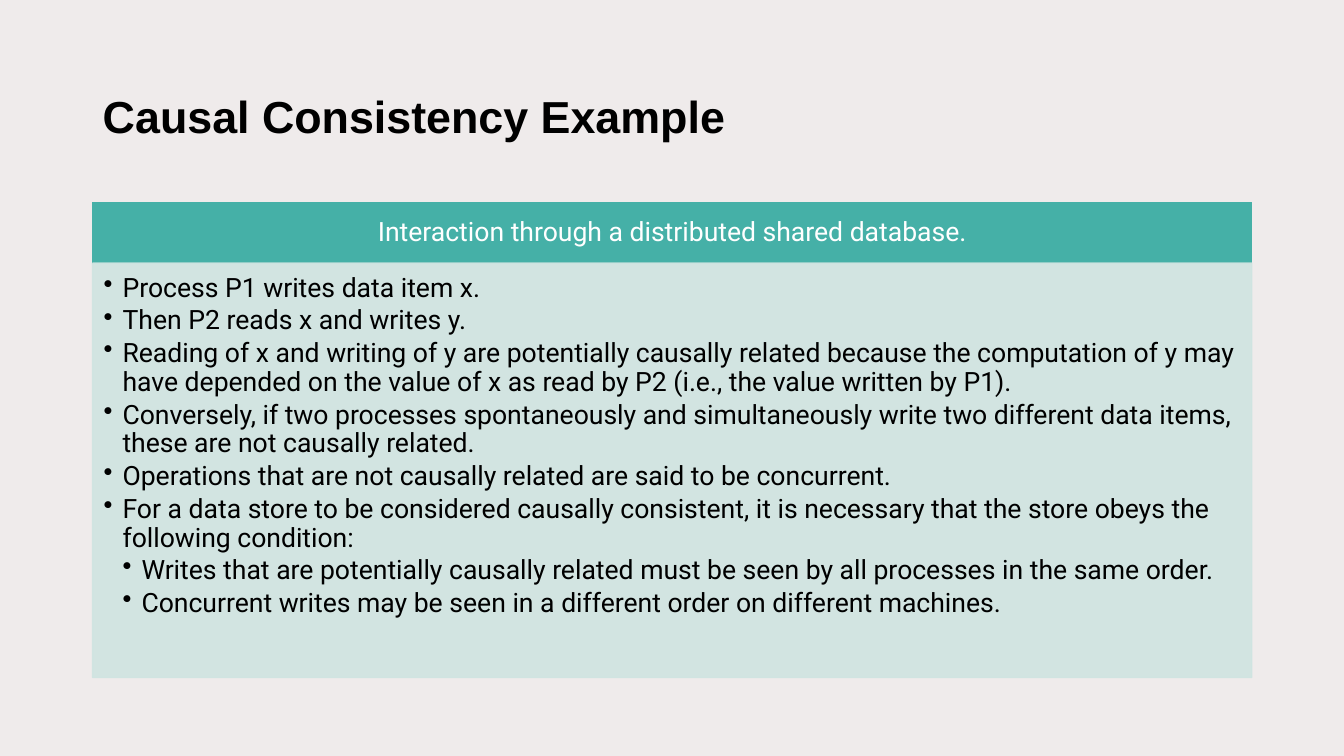
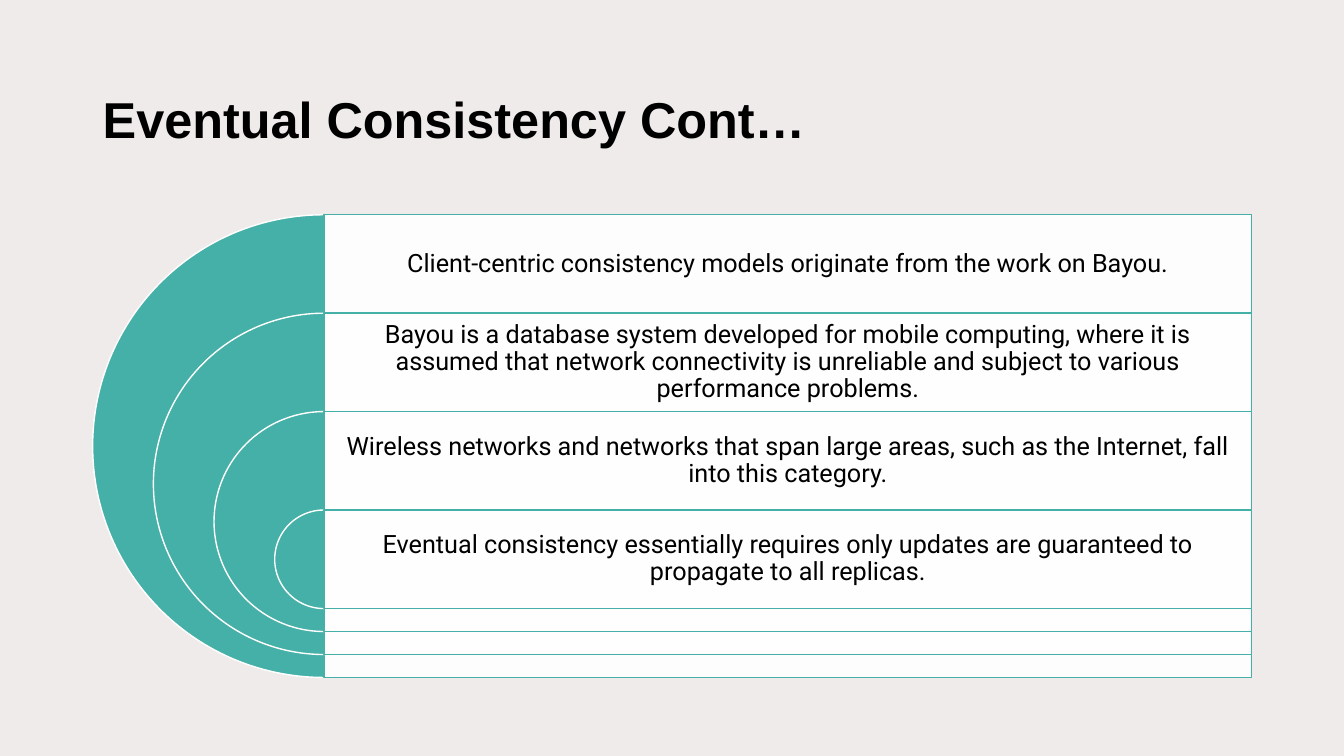
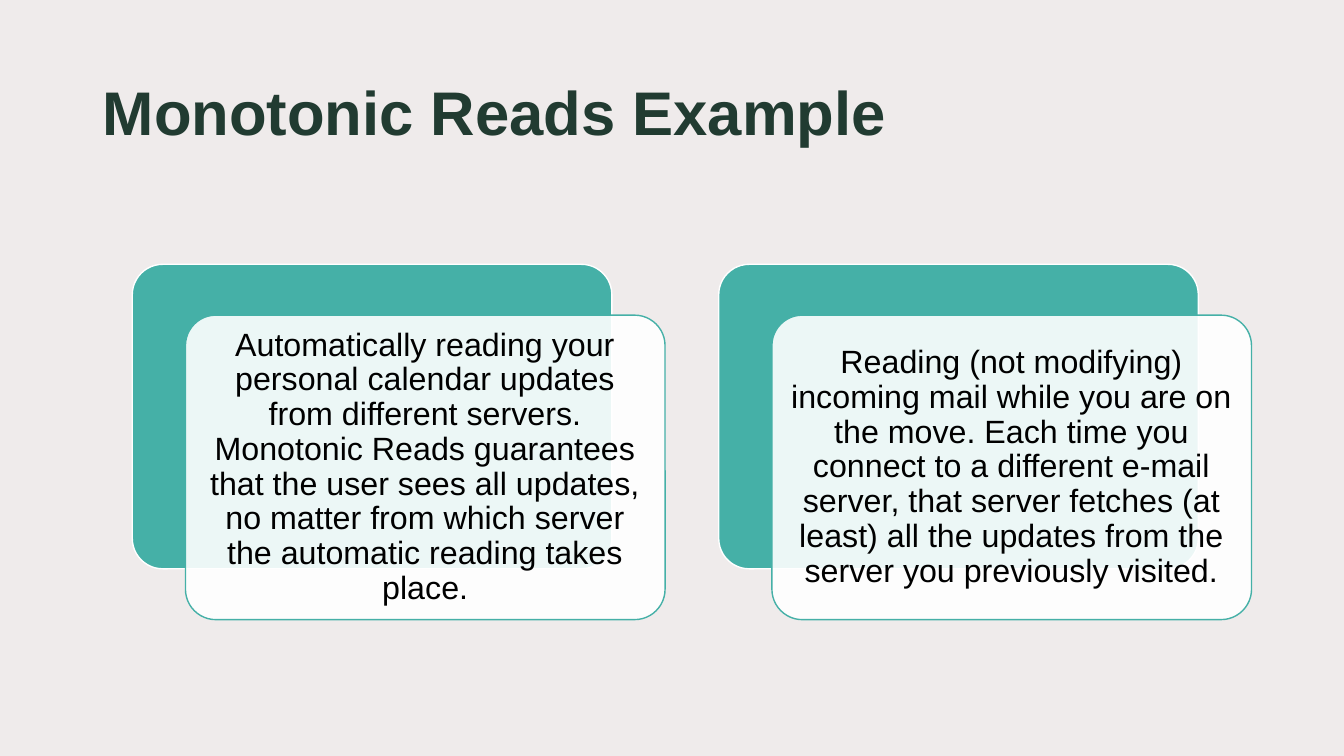
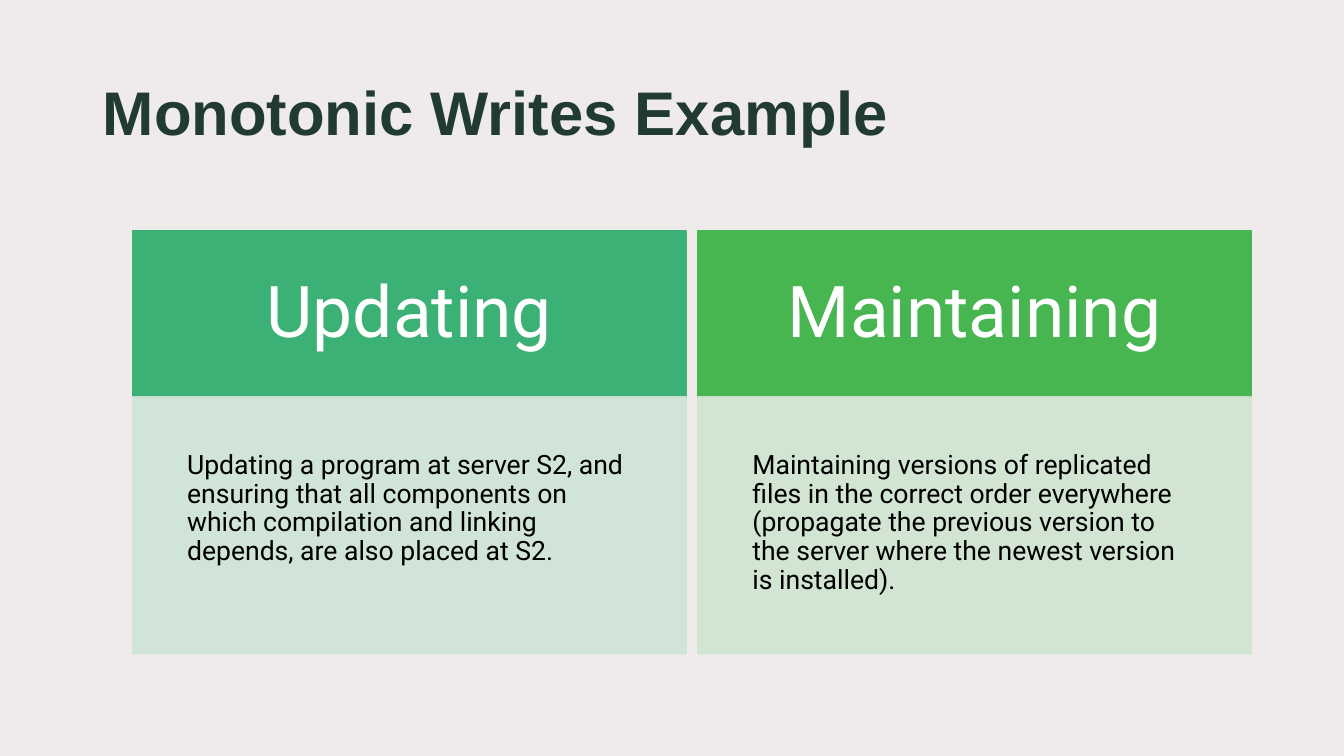
from dataclasses import dataclass
from typing import Any, NamedTuple

from lxml import etree
from pptx import Presentation
from pptx import util as u
from pptx.dml.color import RGBColor
from pptx.enum import shapes, text
from pptx.oxml import ns

Pt = u.Pt
RECT = shapes.MSO_SHAPE.RECTANGLE
ROUND = shapes.MSO_SHAPE.ROUNDED_RECTANGLE
PIE = shapes.MSO_SHAPE.PIE
TOP, MIDDLE = text.MSO_ANCHOR.TOP, text.MSO_ANCHOR.MIDDLE
LEFT, CENTER = text.PP_ALIGN.LEFT, text.PP_ALIGN.CENTER

COLORS = {
    "background": "EFEBEB",
    "black": "000000",
    "white": "FFFFFF",
    "forest": "213B31",
    "teal": "45B0A7",
    "teal_tint": "CFE4E1",
    "jade": "3BB176",
    "jade_tint": "CEE4D6",
    "green": "47B550",
    "green_tint": "CFE5D0",
}
MARGIN = 66.2
RIGHT = 894.2
INDENT = 13.5
TINT_ALPHA = 90


class Area(NamedTuple):
    left: float
    top: float
    width: float
    height: float


class Insets(NamedTuple):
    left: float
    top: float
    right: float
    bottom: float


@dataclass(frozen=True)
class Look:
    fill: str
    line: str
    fill_alpha: int = 100
    line_alpha: int = 100


@dataclass(frozen=True)
class TextStyle:
    size: float
    color: str = "black"
    font: str = "Roboto"
    bold: bool = False
    align: Any = CENTER
    anchor: Any = MIDDLE
    spacing: float = 0.9
    after: float = 0


@dataclass(frozen=True)
class Line:
    words: str
    level: int = 0


@dataclass(frozen=True)
class Column:
    heading: str
    body: str
    color: str


BLACK_TITLE = TextStyle(32, font="Arial", bold=True, align=LEFT)
LARGE_TITLE = TextStyle(36, font="Arial", bold=True, align=LEFT)
GREEN_TITLE = TextStyle(44, "forest", "Arial", True, LEFT, TOP, 1.0)
TITLE_INSETS = Insets(7.2, 3.6, 7.2, 3.6)
GREEN_TITLE_INSETS = Insets(7.2, 8.5, 7.2, 3.6)
GREEN_TITLE_AREA = Area(MARGIN, 44, 815, 101)
WHITE_PANEL = Look("white", "teal", TINT_ALPHA)
TEAL_PANEL = Look("teal", "white")


def assign(target: Any, values: dict[str, Any]) -> None:
    for name, value in values.items():
        setattr(target, name, value)


def rgb(name: str) -> RGBColor:
    return RGBColor.from_string(COLORS[name])


def paint(fill: Any, color: str, alpha: int) -> None:
    fill.solid()
    fill.fore_color.rgb = rgb(color)
    if alpha < 100:
        node = fill._xPr.find(ns.qn("a:solidFill"))[0]
        etree.SubElement(node, ns.qn("a:alpha")).set("val", str(alpha * 1000))


def add_bullet(para: Any, level: int) -> None:
    para.level = level
    props = para._p.get_or_add_pPr()
    props.set("marL", str(Pt(INDENT * level)))
    props.set("indent", str(-Pt(INDENT)))
    etree.SubElement(props, ns.qn("a:buChar")).set("char", "•")


def write(box: Any, lines: list[Line], style: TextStyle, insets: Insets) -> None:
    frame = box.text_frame
    assign(frame, {
        "word_wrap": True,
        "auto_size": text.MSO_AUTO_SIZE.NONE,
        "vertical_anchor": style.anchor,
        "margin_left": Pt(insets.left),
        "margin_top": Pt(insets.top),
        "margin_right": Pt(insets.right),
        "margin_bottom": Pt(insets.bottom),
    })
    for index, line in enumerate(lines):
        para = frame.add_paragraph() if index else frame.paragraphs[0]
        assign(para, {
            "alignment": style.align,
            "line_spacing": style.spacing,
            "space_before": Pt(0),
            "space_after": Pt(style.after),
        })
        if line.level:
            add_bullet(para, line.level)
        span = para.add_run()
        span.text = line.words
        assign(span.font, {"name": style.font, "size": Pt(style.size), "bold": style.bold})
        span.font.color.rgb = rgb(style.color)


def add_panel(page: Any, kind: Any, area: Area, look: Look,
              adjustments: tuple[float, ...] = ()) -> Any:
    box = page.shapes.add_shape(kind, *map(Pt, area))
    box.shadow.inherit = False
    for index, value in enumerate(adjustments):
        box.adjustments[index] = value
    paint(box.fill, look.fill, look.fill_alpha)
    box.line.width = Pt(1)
    paint(box.line.fill, look.line, look.line_alpha)
    return box


def add_page(deck: Any, title: str, style: TextStyle, area: Area,
             insets: Insets = TITLE_INSETS) -> Any:
    page = deck.slides.add_slide(deck.slide_layouts.get_by_name("Title Only"))
    box = page.shapes.title
    assign(box, dict(zip(Area._fields, map(Pt, area))))
    write(box, [Line(title)], style, insets)
    return page


def add_headed_block(page: Any, area: Area, header_height: float, color: str,
                     heading: str, lines: list[Line], styles: tuple[TextStyle, TextStyle],
                     insets: tuple[Insets, Insets]) -> None:
    tint = f"{color}_tint"
    header = area._replace(height=header_height)
    body = area._replace(top=area.top + header_height, height=area.height - header_height)
    box = add_panel(page, RECT, header, Look(color, color))
    write(box, [Line(heading)], styles[0], insets[0])
    box = add_panel(page, RECT, body, Look(tint, tint, TINT_ALPHA, TINT_ALPHA))
    write(box, lines, styles[1], insets[1])


def build_causal(deck: Any) -> None:
    page = add_page(deck, "Causal Consistency Example", BLACK_TITLE,
                    Area(MARGIN, 44, 793.5, 81.4))
    lines = [
        Line("Process P1 writes data item x.", 1),
        Line("Then P2 reads x and writes y.", 1),
        Line("Reading of x and writing of y are potentially causally related because the "
             "computation of y may have depended on the value of x as read by P2 "
             "(i.e., the value written by P1).", 1),
        Line("Conversely, if two processes spontaneously and simultaneously write two "
             "different data items, these are not causally related.", 1),
        Line("Operations that are not causally related are said to be concurrent.", 1),
        Line("For a data store to be considered causally consistent, it is necessary that "
             "the store obeys the following condition:", 1),
        Line("Writes that are potentially causally related must be seen by all processes "
             "in the same order.", 2),
        Line("Concurrent writes may be seen in a different order on different machines.", 2),
    ]
    add_headed_block(
        page, Area(MARGIN, 144.5, RIGHT - MARGIN, 339.5), 43.5, "teal",
        "Interaction through a distributed shared database.", lines,
        (TextStyle(19, "white"), TextStyle(19, align=LEFT, anchor=TOP, after=2.85)),
        (Insets(10.8, 5.8, 10.8, 5.8), Insets(7.9, 7.9, 10.8, 12.2)),
    )


def build_eventual(deck: Any) -> None:
    page = add_page(deck, "Eventual Consistency Cont…", LARGE_TITLE,
                    Area(MARGIN, 44, RIGHT - MARGIN, 87))
    statements = [
        "Client-centric consistency models originate from the work on Bayou.",
        "Bayou is a database system developed for mobile computing, where it is assumed that "
        "network connectivity is unreliable and subject to various performance problems.",
        "Wireless networks and networks that span large areas, such as the Internet, fall into "
        "this category.",
        "Eventual consistency essentially requires only updates are guaranteed to propagate "
        "to all replicas.",
    ]
    top, diameter, band, shrink, inset = 153.4, 330.5, 70.3, 86.7, 5
    center = MARGIN + diameter / 2
    for index, statement in enumerate(statements):
        size = diameter - shrink * index
        ring = Area(center - size / 2, top + band * index, size, size)
        add_panel(page, PIE, ring, TEAL_PANEL, (54, 162))
        row = ring._replace(left=center, width=RIGHT - center)
        box = add_panel(page, RECT, row, WHITE_PANEL)
        write(box, [Line(statement)], TextStyle(18),
              Insets(inset, inset, inset, max(size - band, 0) + inset))


def build_reads(deck: Any) -> None:
    page = add_page(deck, "Monotonic Reads Example", GREEN_TITLE, GREEN_TITLE_AREA,
                    GREEN_TITLE_INSETS)
    examples = [
        "Automatically reading your personal calendar updates from different servers. "
        "Monotonic Reads guarantees that the user sees all updates, no matter from which "
        "server the automatic reading takes place.",
        "Reading (not modifying) incoming mail while you are on the move. Each time you "
        "connect to a different e-mail server, that server fetches (at least) all the updates "
        "from the server you previously visited.",
    ]
    for index, example in enumerate(examples):
        back = Area(94.5 + 418.9 * index, 188.8, 342.6, 217.5)
        front = back._replace(left=back.left + 38, top=back.top + 36.3)
        add_panel(page, ROUND, back, TEAL_PANEL, (0.1,))
        box = add_panel(page, ROUND, front, WHITE_PANEL, (0.1,))
        write(box, [Line(example)], TextStyle(23, font="Arial"), Insets(7, 7, 7, 7))


def build_writes(deck: Any) -> None:
    page = add_page(deck, "Monotonic Writes Example", GREEN_TITLE, GREEN_TITLE_AREA,
                    GREEN_TITLE_INSETS)
    columns = [
        Column("Updating", "Updating a program at server S2, and ensuring that all components "
               "on which compilation and linking depends, are also placed at S2.", "jade"),
        Column("Maintaining", "Maintaining versions of replicated files in the correct order "
               "everywhere (propagate the previous version to the server where the newest "
               "version is installed).", "green"),
    ]
    for index, column in enumerate(columns):
        add_headed_block(
            page, Area(94.7 + 403.8 * index, 165, 395.5, 302), 118.5, column.color,
            column.heading, [Line(column.body)],
            (TextStyle(51, "white"), TextStyle(19, align=LEFT, anchor=TOP)),
            (Insets(31, 31, 31, 31), Insets(39, 39, 39, 39)),
        )


def main() -> None:
    deck = Presentation()
    assign(deck, {"slide_width": Pt(960), "slide_height": Pt(540)})
    paint(deck.slide_master.background.fill, "background", 100)
    for build in (build_causal, build_eventual, build_reads, build_writes):
        build(deck)
    deck.save("out.pptx")


if __name__ == "__main__":
    main()
